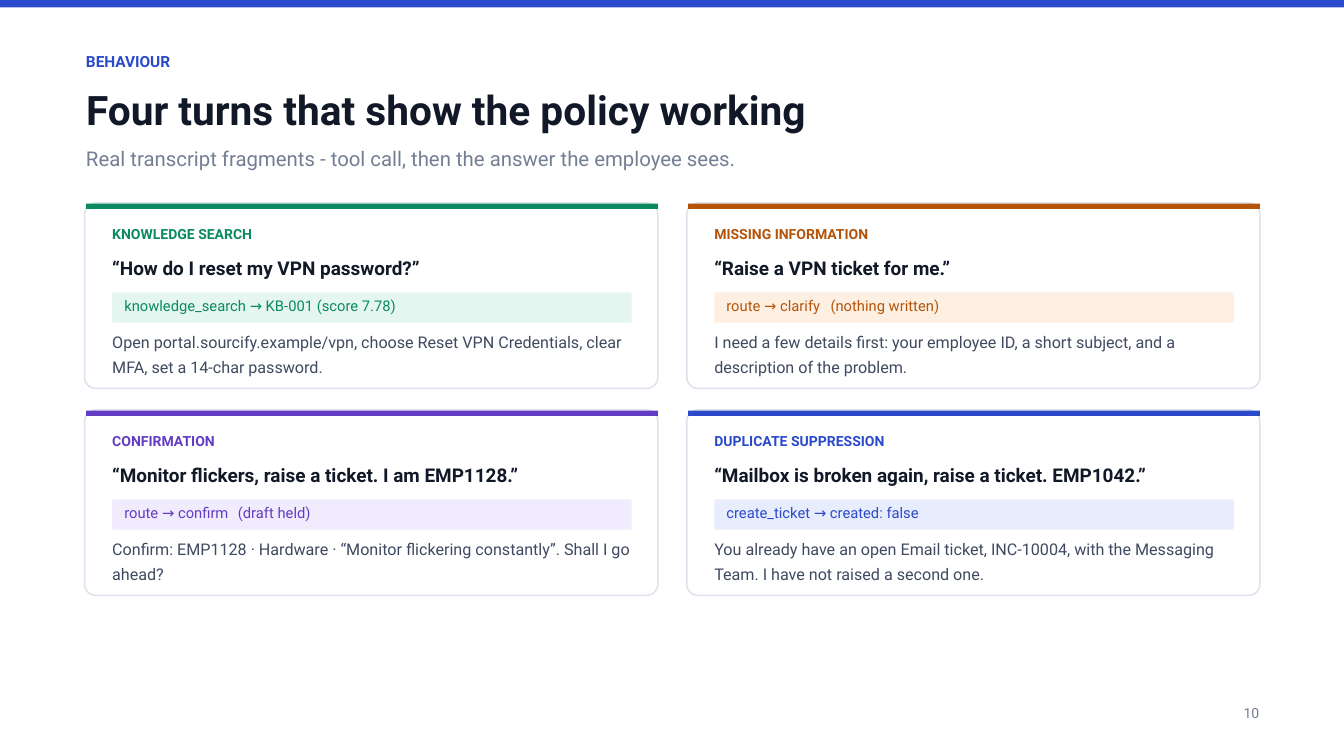
from dataclasses import dataclass

from pptx import Presentation
from pptx import util as u
from pptx.dml import color
from pptx.enum import shapes, text
from lxml import etree


@dataclass(frozen=True)
class Style:
    """Type size, line pitch, colour and weight of one kind of text."""
    size: float
    pitch: float
    ink: str = ""
    bold: bool = False


@dataclass(frozen=True)
class Theme:
    """Colours and type styles of the deck."""
    font: str = "Roboto"
    paper: str = "FFFFFF"
    border: str = "DDE3EE"
    blue: str = "2B4ACB"
    green: str = "0B8A5F"
    orange: str = "B55409"
    purple: str = "633CC4"
    pale_blue: str = "E8EDFD"
    pale_green: str = "E4F6EF"
    pale_orange: str = "FDF0E3"
    pale_purple: str = "F0EBFD"
    kicker: Style = Style(16.5, 25.4, "2B4ACB", True)
    title: Style = Style(43.5, 66.9, "111827", True)
    subtitle: Style = Style(21.8, 33.4, "747E93")
    page: Style = Style(15, 23.1, "747E93")
    label: Style = Style(15, 23.1, bold=True)
    question: Style = Style(20.3, 31.1, "111827", True)
    call: Style = Style(15.8, 24.2)
    answer: Style = Style(17.3, 26.5, "3F495F")


@dataclass(frozen=True)
class Turn:
    """One transcript fragment with its accent colours."""
    label: str
    question: str
    call: str
    answer: str
    accent: str
    tint: str
    note_tab: float = 0


THEME = Theme()
FRAME = {
    "margin_left": 0, "margin_top": 0, "margin_right": 0, "margin_bottom": 0,
    "word_wrap": True, "auto_size": text.MSO_AUTO_SIZE.NONE,
    "vertical_anchor": text.MSO_ANCHOR.TOP,
}
TURNS = [
    Turn("KNOWLEDGE SEARCH", "“How do I reset my VPN password?”",
         "knowledge_search → KB-001 (score 7.78)",
         "Open portal.sourcify.example/vpn, choose Reset VPN Credentials, "
         "clear MFA, set a 14-char password.",
         THEME.green, THEME.pale_green),
    Turn("MISSING INFORMATION", "“Raise a VPN ticket for me.”",
         "route → clarify\t(nothing written)",
         "I need a few details first: your employee ID, a short subject, "
         "and a description of the problem.",
         THEME.orange, THEME.pale_orange, 1.55),
    Turn("CONFIRMATION", "“Monitor flickers, raise a ticket. I am EMP1128.”",
         "route → confirm\t(draft held)",
         "Confirm: EMP1128 · Hardware · “Monitor flickering constantly”. "
         "Shall I go ahead?",
         THEME.purple, THEME.pale_purple, 1.69),
    Turn("DUPLICATE SUPPRESSION",
         "“Mailbox is broken again, raise a ticket. EMP1042.”",
         "create_ticket → created: false",
         "You already have an open Email ticket, INC-10004, with the "
         "Messaging Team. I have not raised a second one.",
         THEME.blue, THEME.pale_blue),
]


def apply(target, formats):
    """Set every attribute in a dict of format values."""
    for name, value in formats.items():
        setattr(target, name, value)


def write(holder, words, style, ink=None, align=text.PP_ALIGN.LEFT, tab=0):
    """Fill a text holder with one styled paragraph."""
    apply(holder.text_frame, FRAME)
    line = holder.text_frame.paragraphs[0]
    apply(line, {"alignment": align, "line_spacing": u.Pt(style.pitch),
                 "space_before": u.Pt(0)})
    if tab:
        props = line._p.get_or_add_pPr()
        space = "{http://schemas.openxmlformats.org/drawingml/2006/main}"
        stops = etree.SubElement(props, space + "tabLst")
        etree.SubElement(stops, space + "tab", pos=str(u.Inches(tab)), algn="l")
    run = line.add_run()
    run.text = words
    apply(run.font, {"name": THEME.font, "size": u.Pt(style.size),
                     "bold": style.bold})
    run.font.color.rgb = color.RGBColor.from_string(ink or style.ink)


def add_text(slide, box, words, style, **options):
    """Add a text box at the given box in inches."""
    holder = slide.shapes.add_textbox(*map(u.Inches, box))
    write(holder, words, style, **options)


def add_panel(slide, box, fill, border=None, rounding=0):
    """Add a filled rectangle, rounded and outlined on request."""
    kind = shapes.MSO_SHAPE.ROUNDED_RECTANGLE if rounding else shapes.MSO_SHAPE.RECTANGLE
    panel = slide.shapes.add_shape(kind, *map(u.Inches, box))
    panel.shadow.inherit = False
    panel.fill.solid()
    panel.fill.fore_color.rgb = color.RGBColor.from_string(fill)
    if rounding:
        panel.adjustments[0] = rounding
    if border:
        panel.line.color.rgb = color.RGBColor.from_string(border)
        panel.line.width = u.Pt(1.65)
    else:
        panel.line.fill.background()


def add_header(slide, left, top, width):
    """Place the kicker, title and subtitle."""
    add_text(slide, (left, top, width, 0.53), "BEHAVIOUR", THEME.kicker)
    title = slide.shapes.title
    apply(title, {"left": u.Inches(left), "top": u.Inches(top + 0.36),
                  "width": u.Inches(width), "height": u.Inches(0.99)})
    write(title, "Four turns that show the policy working", THEME.title)
    add_text(slide, (left, top + 1.38, width - 1.5, 0.45),
             "Real transcript fragments - tool call, then the answer the employee sees.",
             THEME.subtitle)


def add_card(slide, left, top, width, height, turn):
    """Place one transcript card in its box."""
    inner, span = left + 0.41, width - 0.8
    add_panel(slide, (left, top, width, height), THEME.paper, THEME.border, 0.06)
    add_panel(slide, (left + 0.02, top + 0.01, width - 0.02, 0.08), turn.accent)
    add_text(slide, (inner, top + 0.27, span, 0.46), turn.label, THEME.label,
             ink=turn.accent)
    add_text(slide, (inner, top + 0.71, span, 0.53), turn.question, THEME.question)
    add_panel(slide, (inner, top + 1.33, span, 0.45), turn.tint, rounding=0.06)
    add_text(slide, (inner + 0.18, top + 1.33, span - 0.27, 0.43), turn.call,
             THEME.call, ink=turn.accent, tab=turn.note_tab)
    add_text(slide, (inner, top + 1.85, span + 0.03, 0.83), turn.answer, THEME.answer)


def add_cards(slide, left, top, width, height, gap_x, gap_y):
    """Lay the cards out in a grid of two columns and two rows."""
    card_width, card_height = (width - gap_x) / 2, (height - gap_y) / 2
    for index, turn in enumerate(TURNS):
        row, column = divmod(index, 2)
        add_card(slide, left + column * (card_width + gap_x),
                 top + row * (card_height + gap_y), card_width, card_height, turn)


def main():
    """Build and save the slide."""
    deck = Presentation()
    apply(deck, {"slide_width": u.Inches(20), "slide_height": u.Inches(11.25)})
    slide = deck.slides.add_slide(deck.slide_layouts.get_by_name("Title Only"))
    add_panel(slide, (0, 0, 20, 0.11), THEME.blue)
    add_header(slide, 1.28, 0.7, 17.46)
    add_cards(slide, 1.26, 3.02, 17.49, 5.84, 0.43, 0.32)
    add_text(slide, (16.94, 10.41, 1.8, 0.52), "10", THEME.page,
             align=text.PP_ALIGN.RIGHT)
    deck.save("out.pptx")


if __name__ == "__main__":
    main()
